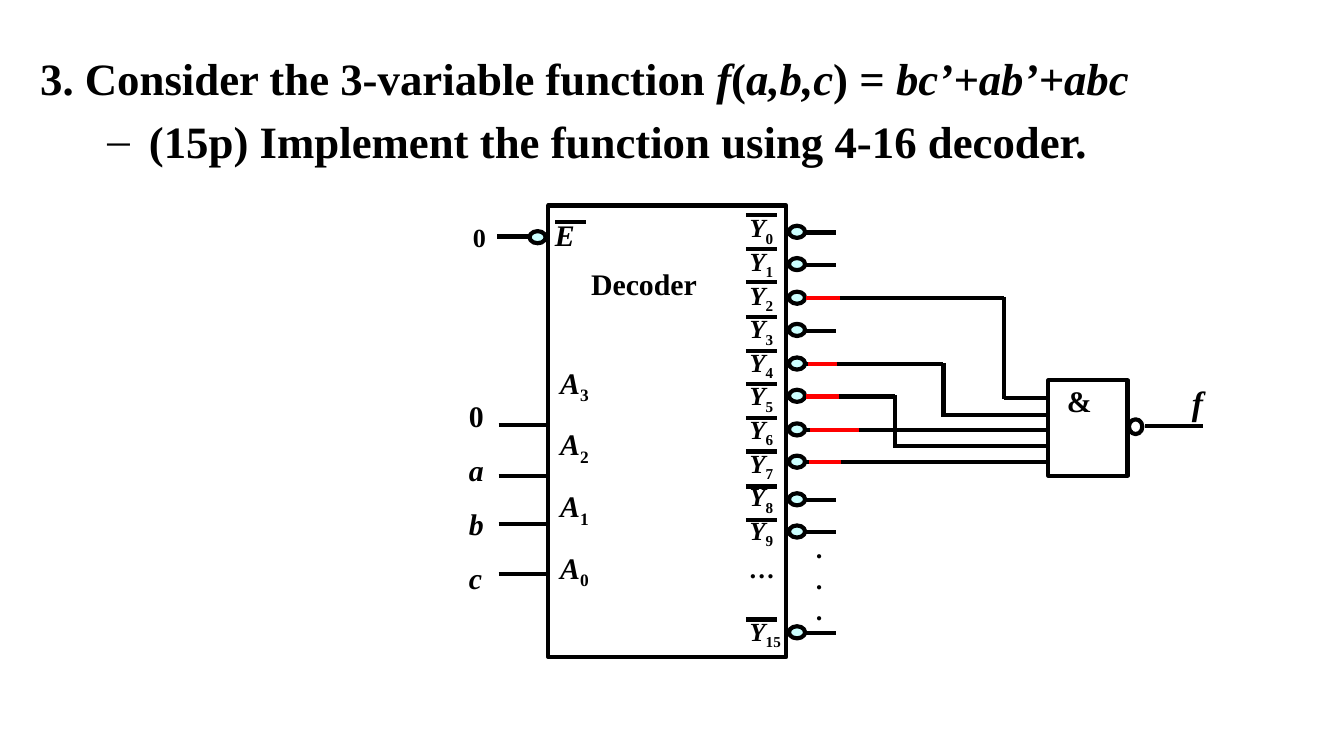
from dataclasses import dataclass

from lxml.etree import SubElement
from pptx import Presentation
from pptx.dml.color import RGBColor
from pptx.enum.shapes import MSO_CONNECTOR, MSO_SHAPE
from pptx.enum.text import MSO_ANCHOR
from pptx.oxml.ns import qn
from pptx.util import Pt

SCALE = 9144


def px(value):
    return value * SCALE


@dataclass(frozen=True)
class Theme:
    font: str = "Times New Roman"
    ink: RGBColor = RGBColor(0, 0, 0)
    signal: RGBColor = RGBColor(255, 0, 0)
    bubble: RGBColor = RGBColor(204, 255, 255)
    title: int = 24
    result: int = 18
    label: int = 16
    small: int = 14
    stroke: float = 2.25


def write(p, text, theme, size, italic=False, sub=False):
    r = p.add_run()
    r.text = text
    f = r.font
    f.name, f.size, f.bold, f.italic = theme.font, Pt(size), True, italic
    f.color.rgb = theme.ink
    if sub:
        r._r.get_or_add_rPr().set("baseline", "-25000")


class Board:
    def __init__(self, slide, theme):
        self.slide = slide
        self.theme = theme

    def line(self, x1, y1, x2, y2, color=None):
        c = self.slide.shapes.add_connector(
            MSO_CONNECTOR.STRAIGHT, px(x1), px(y1), px(x2), px(y2))
        c.line.color.rgb = color or self.theme.ink
        c.line.width = Pt(self.theme.stroke)
        SubElement(c._element.spPr, qn("a:effectLst"))

    def shape(self, kind, x, y, w, h, fill=None):
        sp = self.slide.shapes.add_shape(kind, px(x), px(y), px(w), px(h))
        sp.shadow.inherit = False
        if fill:
            sp.fill.solid()
            sp.fill.fore_color.rgb = fill
        else:
            sp.fill.background()
        sp.line.color.rgb = self.theme.ink
        sp.line.width = Pt(self.theme.stroke)

    def text(self, x, y, w, h, paragraphs, size, spacing=None, wrap=True,
             anchor=MSO_ANCHOR.BOTTOM):
        sp = self.slide.shapes.add_textbox(px(x), px(y), px(w), px(h))
        tf = sp.text_frame
        tf.word_wrap = wrap
        tf.vertical_anchor = anchor
        for i, runs in enumerate(paragraphs):
            p = tf.paragraphs[0] if i == 0 else tf.add_paragraph()
            if spacing:
                p.line_spacing = Pt(spacing)
            for text, style in runs:
                write(p, text, self.theme, size,
                      italic=style == "italic", sub=style == "sub")
        return tf

    def label(self, x, y, w, h, text, size, style="", anchor=MSO_ANCHOR.BOTTOM):
        self.text(x, y, w, h, [[(text, style)]], size, wrap=False, anchor=anchor)


def indexed(name, numbers):
    return [[(name, "italic"), (str(n), "sub")] for n in numbers]


def draw_question(board):
    tf = board.text(20, 33, 961, 102, [
        [("3. Consider the 3-variable function ", ""), ("f", "italic"), ("(", ""),
         ("a,b,c", "italic"), (") = ", ""), ("bc’+ab’+abc", "italic")],
        [("(15p) Implement the function using 4-16 decoder.", "")],
    ], board.theme.title, anchor=MSO_ANCHOR.TOP)
    task = tf.paragraphs[1]
    task.level = 1
    task.space_before = Pt(4.8)
    for p, left, hang in zip(tf.paragraphs, (38, 81), (38, 31)):
        pPr = p._p.get_or_add_pPr()
        pPr.set("marL", str(px(left)))
        pPr.set("indent", str(px(-hang)))
    pPr = task._p.get_or_add_pPr()
    SubElement(pPr, qn("a:buFont")).set("typeface", board.theme.font)
    SubElement(pPr, qn("a:buChar")).set("char", "–")


def draw_decoder(board, leads):
    theme = board.theme
    board.shape(MSO_SHAPE.RECTANGLE, 408, 153, 177, 336)
    board.label(430, 192, 100, 37, "Decoder", theme.label)

    board.label(342, 160, 30, 34, "0", theme.small, anchor=MSO_ANCHOR.TOP)
    board.line(370, 176, 407, 176)
    board.shape(MSO_SHAPE.OVAL, 394, 172, 12, 9, theme.bubble)
    board.line(413, 165, 436, 165)
    board.label(403, 156, 51, 37, "E", theme.label, "italic")

    for y in (316, 354, 390, 427):
        board.line(371, y, 408, y)
    board.text(339, 267, 47, 181,
               [[("0", "")]] + [[(name, "italic")] for name in "abc"],
               theme.label, spacing=29)
    board.text(407, 277, 52, 167, indexed("A", (3, 2, 1, 0)), theme.label, spacing=33)

    outputs = indexed("Y", range(10)) + [[("…", "italic")]] + indexed("Y", [15])
    tf = board.text(548, 151, 46, 338, outputs, theme.small, spacing=18)
    tf.paragraphs[-1].space_before = Pt(18)
    bars = [round(160 + 25.2 * i) for i in range(10)] + [461]
    for lead, bar in zip(leads, bars):
        board.line(555, bar, 578, bar)
        board.line(585, lead, 622, lead)
        board.shape(MSO_SHAPE.OVAL, 587, lead - 5, 12, 9, theme.bubble)
    board.text(598, 391, 25, 81, [[(".", "italic")]] * 3, theme.small,
               wrap=False, anchor=MSO_ANCHOR.TOP)


def draw_gate(board, leads):
    theme = board.theme
    gate = 780
    wires = [(2, 600, 625, 747, 296), (4, 601, 623, 702, 309),
             (5, 600, 624, 666, 332), (6, 603, 639, None, None),
             (7, 602, 626, None, None)]
    for output, red, start, bend, pin in wires:
        y = leads[output]
        board.line(red, y, red + 37, y, theme.signal)
        board.line(start, y, bend or gate, y)
        if bend:
            board.line(bend, y - 1, bend, pin + 1)
            board.line(bend, pin, gate, pin)
    board.shape(MSO_SHAPE.RECTANGLE, gate, 283, 59, 71)
    board.label(784, 279, 39, 37, "&", theme.label)
    board.shape(MSO_SHAPE.OVAL, 840, 312, 10, 11)
    board.line(852, 317, 895, 317)
    board.label(877, 279, 29, 40, "f", theme.result, "italic", MSO_ANCHOR.TOP)


def main():
    prs = Presentation()
    prs.slide_width = px(1000)
    prs.slide_height = prs.slide_width * 9 // 16
    board = Board(prs.slides.add_slide(prs.slide_layouts[6]), Theme())
    leads = [int(173 + 24.5 * i) for i in range(8)] + [372, 396, 471]
    draw_question(board)
    draw_decoder(board, leads)
    draw_gate(board, leads)
    prs.save("out.pptx")


if __name__ == "__main__":
    main()
